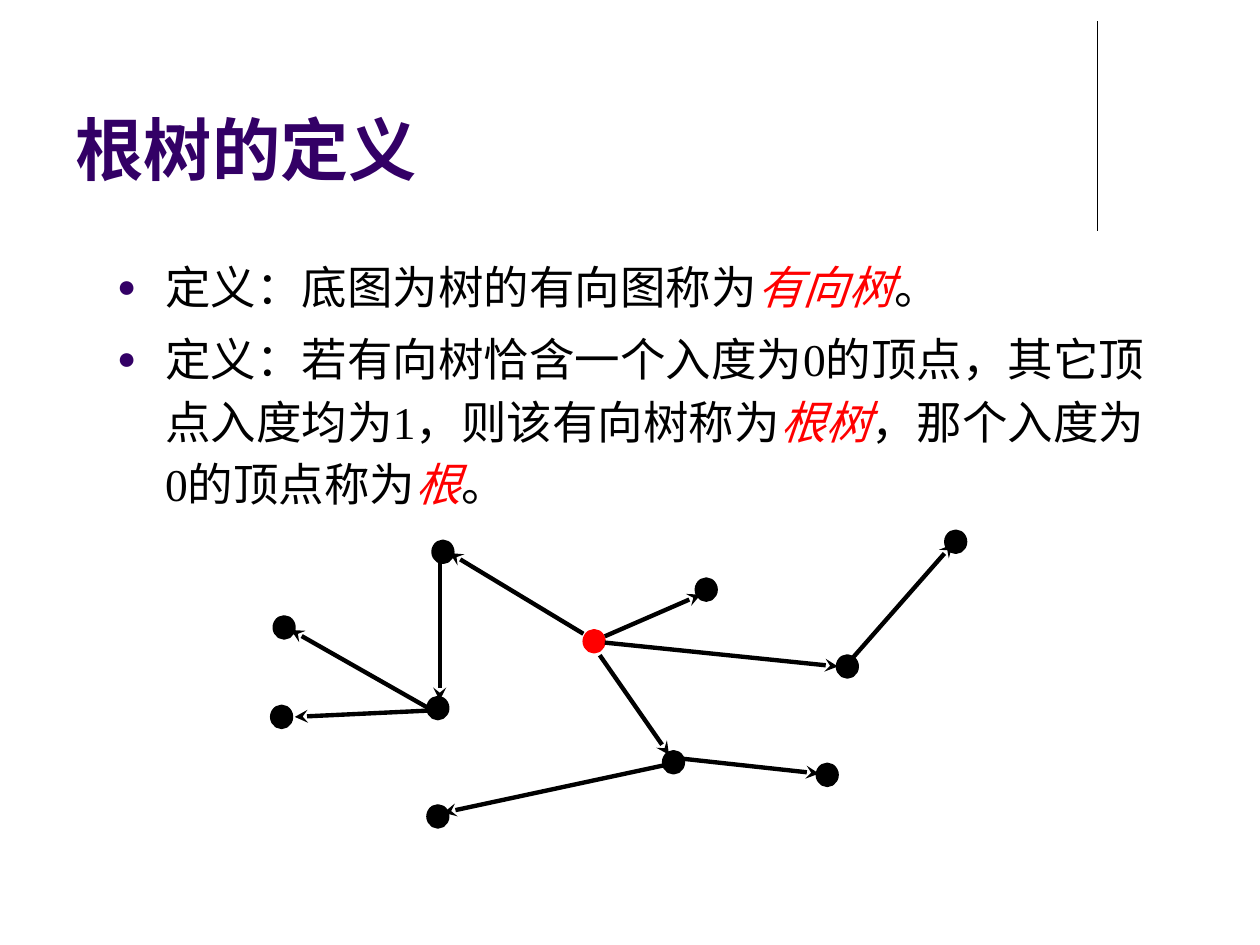
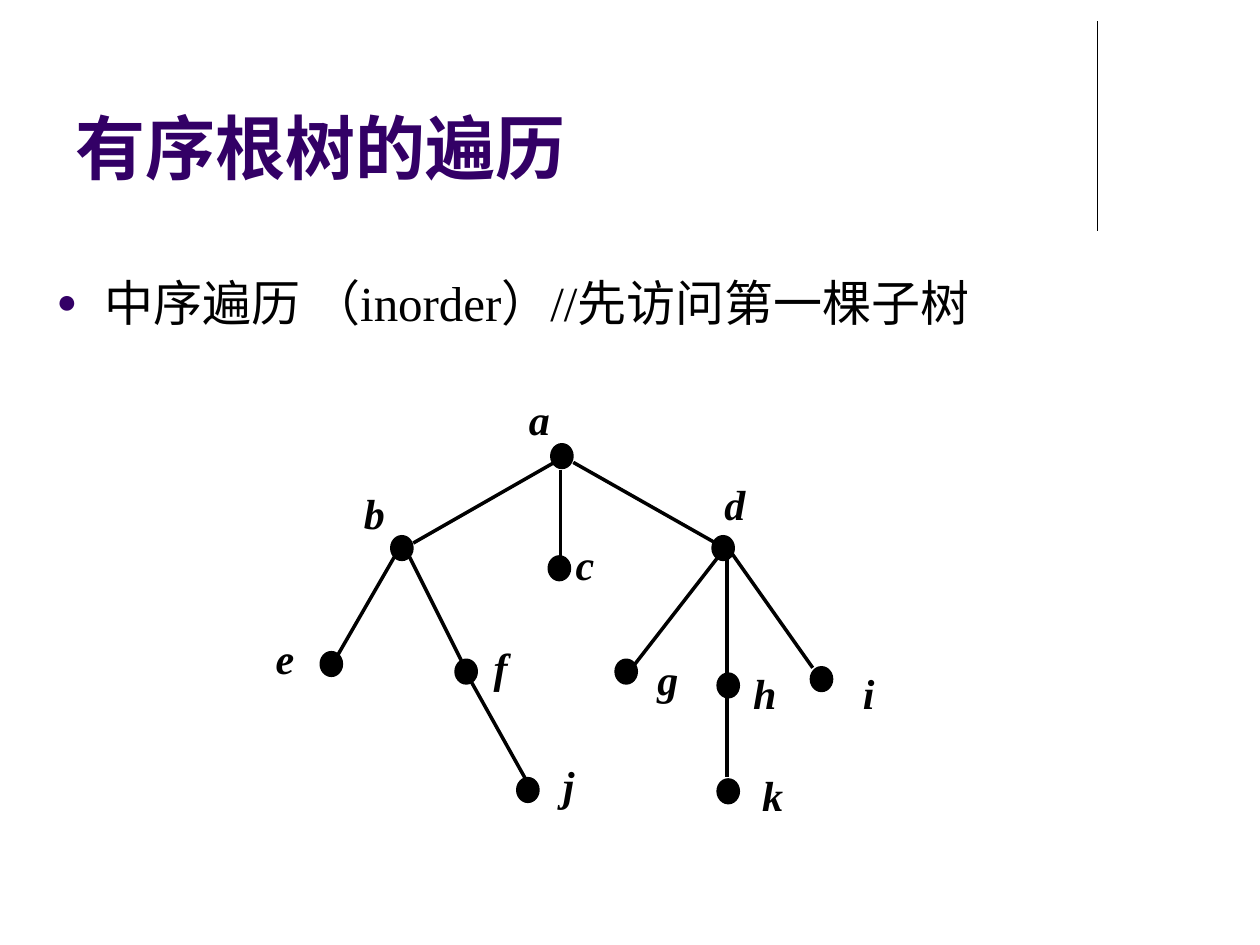
import pptx
import pptx.util
import pptx.dml.color
import pptx.enum.shapes
import pptx.enum.text
import pptx.oxml
import pptx.oxml.ns
from pptx.util import Inches

INK, RED, PURPLE = "000000", "FF0000", "330066"
SERIF = "Times New Roman"

ROOTED = {
    "title": ("根树的定义", "Arial", 39, (0.5, 0.13, 8.25, 1.42)),
    "body": ((0.83, 1.94, 8.41, 2.28), 26, 1.15, 5.2),
    "items": [
        [("定义：底图为树的有向图称为", False), ("有向树", True), ("。", False)],
        [("定义：若有向树恰含一个入度为0的顶点，其它顶点入度均为1，则该有向树称为", False),
         ("根树", True), ("，那个入度为0的顶点称为", False), ("根", True), ("。", False)],
    ],
    "node_size": (0.15, 0.16),
    "weight": 2.5,
    "arrow": True,
    "root": (4.64, 5.01),
    "nodes": [(2.18, 4.9), (3.4, 6.4), (3.4, 5.54), (3.44, 4.3), (4.64, 5.01), (5.27, 5.97),
              (5.53, 4.6), (6.65, 5.21), (7.51, 4.22), (6.49, 6.07), (2.16, 5.61)],
    "edges": [(4.8, 5.05, 5.56, 4.72), (4.76, 5.2, 5.31, 5.99), (4.63, 5.03, 3.57, 4.39),
              (3.49, 4.44, 3.49, 5.56), (3.4, 5.62, 2.31, 5), (6.76, 5.23, 7.56, 4.32),
              (5.4, 6.02, 6.5, 6.14), (5.29, 6.07, 3.52, 6.45), (3.4, 5.64, 2.34, 5.69),
              (4.8, 5.1, 6.65, 5.29)],
    "labels": {},
}
TRAVERSAL = {
    "title": ("有序根树的遍历", SERIF, 40, (0.5, 0.6, 8.25, 0.95)),
    "body": ((0.35, 2.02, 9.37, 1.02), 28, 1.2, 8.4),
    "items": [[("中序遍历 （inorder）//先访问第一棵子树", False)]],
    "node_size": (0.16, 0.18),
    "weight": 2,
    "arrow": False,
    "root": None,
    "nodes": [(4.38, 3.53), (3.11, 4.26), (4.36, 4.42), (5.66, 4.26), (2.55, 5.18), (3.62, 5.24),
              (4.89, 5.24), (5.7, 5.35), (6.44, 5.3), (4.11, 6.18), (5.7, 6.19)],
    "edges": [(4.4, 3.67, 3.28, 4.31), (4.45, 3.73, 4.45, 4.42), (4.55, 3.67, 5.68, 4.31),
              (3.13, 4.42, 2.68, 5.2), (3.25, 4.42, 3.66, 5.24), (5.7, 4.42, 5.04, 5.27),
              (5.77, 4.42, 5.77, 5.34), (5.8, 4.38, 6.45, 5.3), (3.74, 5.41, 4.17, 6.18),
              (5.77, 5.48, 5.77, 6.17)],
    "labels": {"a": (4.1, 3.04), "b": (2.79, 3.79), "c": (4.47, 4.19), "d": (5.65, 3.72),
               "e": (2.09, 4.94), "f": (3.82, 5.01), "g": (5.12, 5.11), "h": (5.88, 5.22),
               "i": (6.75, 5.22), "j": (4.37, 5.95), "k": (5.95, 6.03)},
}


def rgb(value):
    return pptx.dml.color.RGBColor.from_string(value)


def set_font(font, name, size, color, bold=None, italic=None):
    font.name, font.size, font.bold, font.italic = name, pptx.util.Pt(size), bold, italic
    font.color.rgb = rgb(color)


def place(sp, box):
    sp.left, sp.top, sp.width, sp.height = map(Inches, box)


def add_xml(parent, tag, **attributes):
    child = pptx.oxml.parse_xml(f"<a:{tag} {pptx.oxml.ns.nsdecls('a')}/>")
    for key, value in attributes.items():
        child.set(key, value)
    parent.append(child)
    return child


def add_bullet(p):
    pPr = p._p.get_or_add_pPr()
    pPr.set("marL", str(Inches(0.38)))
    pPr.set("indent", str(Inches(-0.38)))
    add_xml(add_xml(pPr, "buClr"), "srgbClr", val=PURPLE)
    add_xml(pPr, "buSzPct", val="70000")
    add_xml(pPr, "buFont", typeface="Arial")
    add_xml(pPr, "buChar", char="●")


def add_line(s, ends, weight, arrow=False):
    sp = s.shapes.add_connector(pptx.enum.shapes.MSO_CONNECTOR.STRAIGHT, *map(Inches, ends))
    sp.line.color.rgb = rgb(INK)
    sp.line.width = pptx.util.Pt(weight)
    if arrow:
        add_xml(sp.line._get_or_add_ln(), "tailEnd", type="stealth")
    add_xml(sp._element.spPr, "effectLst")


def add_node(s, at, size, weight, color):
    sp = s.shapes.add_shape(pptx.enum.shapes.MSO_SHAPE.OVAL, *map(Inches, at + size))
    sp.shadow.inherit = False
    sp.fill.solid()
    sp.fill.fore_color.rgb = sp.line.color.rgb = rgb(color)
    sp.line.width = pptx.util.Pt(weight)


def add_label(s, text, at):
    tf = s.shapes.add_textbox(*map(Inches, at + (0.5, 0.45))).text_frame
    tf.word_wrap = True
    tf.margin_top = Inches(0.08)
    p = tf.paragraphs[0]
    p.text = text
    set_font(p.font, SERIF, 24, INK, True, True)


def add_title(s, text, font, size, box):
    sp = s.shapes.title
    place(sp, box)
    tf = sp.text_frame
    tf.auto_size = pptx.enum.text.MSO_AUTO_SIZE.NONE
    tf.vertical_anchor = pptx.enum.text.MSO_ANCHOR.BOTTOM
    p = tf.paragraphs[0]
    p.text = text
    p.alignment = pptx.enum.text.PP_ALIGN.LEFT
    set_font(p.font, font, size, PURPLE, True)


def add_body(s, items, box, size, spacing, gap):
    sp = s.placeholders[1]
    place(sp, box)
    tf = sp.text_frame
    tf.auto_size = pptx.enum.text.MSO_AUTO_SIZE.NONE
    for i, runs in enumerate(items):
        p = tf.add_paragraph() if i else tf.paragraphs[0]
        add_bullet(p)
        p.line_spacing = spacing
        p.space_before = pptx.util.Pt(gap if i else 0)
        set_font(p.font, SERIF, size, INK)
        for text, is_term in runs:
            r = p.add_run()
            r.text = text
            if is_term:
                r.font.italic = True
                r.font.color.rgb = rgb(RED)


def add_tree_slide(prs, tree):
    s = prs.slides.add_slide(prs.slide_layouts[1])
    add_line(s, (8.71, 0.17, 8.71, 1.83), 0.75)
    add_title(s, *tree["title"])
    add_body(s, tree["items"], *tree["body"])
    for at in tree["nodes"]:
        add_node(s, at, tree["node_size"], tree["weight"], RED if at == tree["root"] else INK)
    for ends in tree["edges"]:
        add_line(s, ends, tree["weight"], tree["arrow"])
    for text, at in tree["labels"].items():
        add_label(s, text, at)


def main():
    """Build the two slides on rooted trees."""
    prs = pptx.Presentation()
    prs.slide_width, prs.slide_height = Inches(10), Inches(7.5)
    for tree in (ROOTED, TRAVERSAL):
        add_tree_slide(prs, tree)
    prs.save("out.pptx")


if __name__ == "__main__":
    main()
